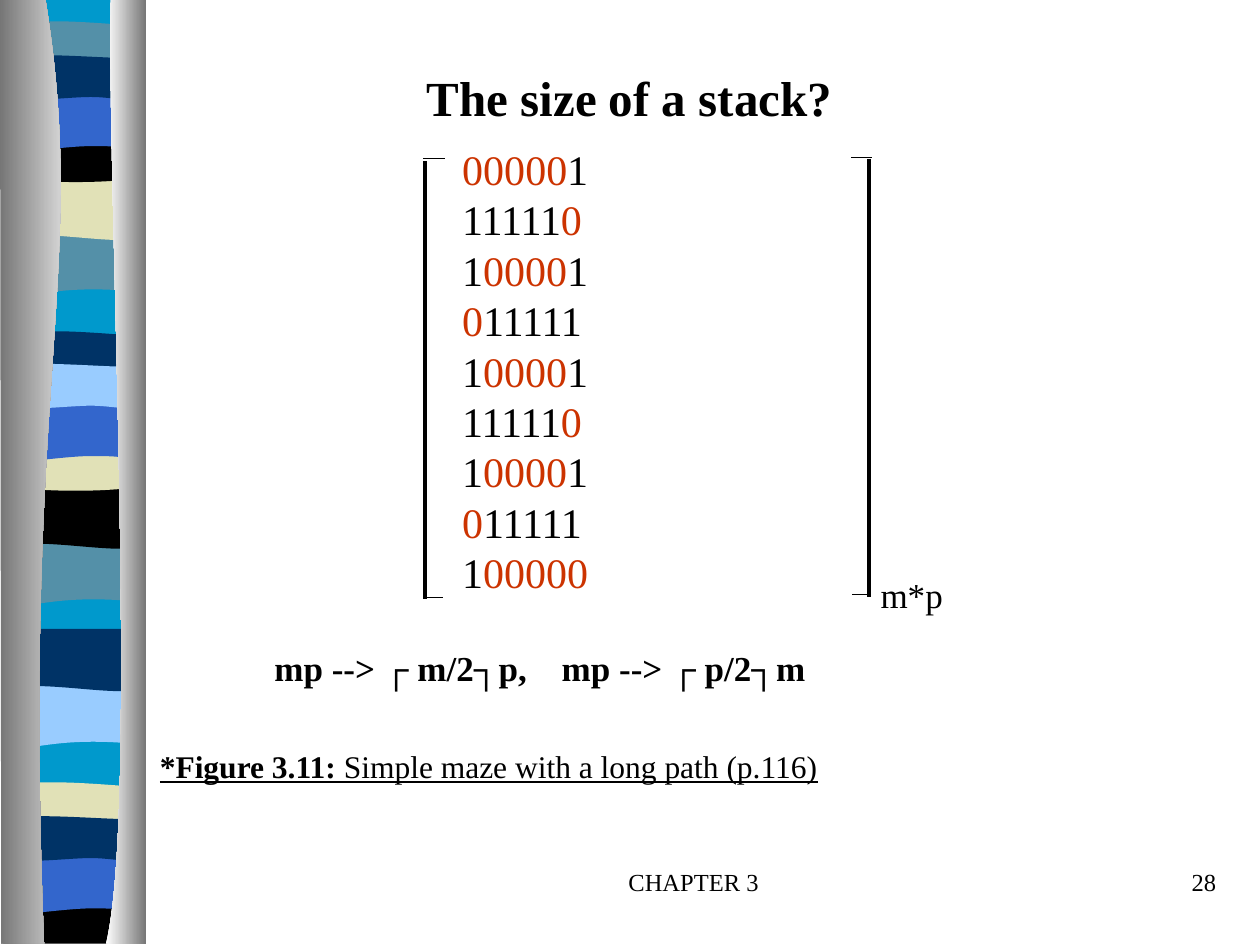
from itertools import groupby

from lxml import etree
from pptx import Presentation
from pptx.dml.color import RGBColor
from pptx.enum.shapes import MSO_CONNECTOR
from pptx.enum.text import PP_ALIGN
from pptx.oxml.ns import qn
from pptx.util import Pt

LEFT, CENTER, RIGHT = PP_ALIGN.LEFT, PP_ALIGN.CENTER, PP_ALIGN.RIGHT
STRAIGHT = MSO_CONNECTOR.STRAIGHT
PX = 9144  # one hundredth of an inch

THEME = {
    "font": "Times New Roman",
    "ink": "000000", "zero": "CC3300",
    "cyan": "0099CC", "slate": "5490A8", "sand": "E1E1B7", "navy": "003366",
    "blue": "3366CC", "sky": "99CCFF", "black": "000000",
    "light": "FFFFFF", "dark": "767676",
    "title": 28, "digits": 24, "formula": 20, "caption": 18, "footer": 14,
    "digit_pitch": 28.8,
}


def add_outline(path, top=0):
    """Draw a closed outline; a step holds one point, or three for a curve."""
    points = [(step[i] * PX, (step[i + 1] + top) * PX)
              for step in path for i in range(0, len(step), 2)]
    builder = page.shapes.build_freeform(*points[0], scale=1.0)
    builder.add_line_segments(points[1:], close=True)
    outline = builder.convert_to_shape()
    # Join the three segments of each curve step into one Bezier segment
    segments = iter(list(outline._element.iter(qn("a:lnTo"))))
    for step in path[1:]:
        first = next(segments)
        if len(step) == 6:
            curve = etree.Element(qn("a:cubicBezTo"))
            first.addprevious(curve)
            for segment in (first, next(segments), next(segments)):
                curve.append(segment[0])
                segment.getparent().remove(segment)
    outline.shadow.inherit = False
    outline.line.fill.background()
    return outline


def add_text(place, lines, size, align=LEFT):
    """Add a text box; each line is a list of (text, colour, bold, underline)."""
    box = page.shapes.add_textbox(*(value * PX for value in place))
    frame = box.text_frame
    frame.word_wrap = True
    for index, line in enumerate(lines):
        para = frame.add_paragraph() if index else frame.paragraphs[0]
        para.alignment = align
        for text, colour, bold, underline in line:
            span = para.add_run()
            span.text = text
            span.font.name = THEME["font"]
            span.font.size = Pt(THEME[size])
            span.font.bold = bold
            span.font.underline = underline
            span.font.color.rgb = RGBColor.from_string(THEME[colour])
    return box


deck = Presentation()
deck.slide_width, deck.slide_height = 1000 * PX, 750 * PX
page = deck.slides.add_slide(deck.slide_layouts[6])

# Striped ribbon: band outlines, relative to the top of each band
BANDS = {
    "swell": [(114, 0), (114, 47), (39, 39, 24, 55, 6, 47), (6, 0)],
    "dip": [(114, 0), (114, 47), (96, 55, 39, 41, 6, 47), (6, 0)],
    "thin": [(114, 5), (114, 29), (96, 33, 24, 33, 6, 29), (6, 5),
             (12, 0, 29, 1, 47, 1), (65, 1, 100, 4, 114, 5)],
    "bowl": [(114, 0), (114, 32), (96, 38, 24, 38, 6, 32), (6, 0),
             (72, 5, 91, 0, 114, 0)],
    "arch": [(114, 0), (114, 47), (97, 42, 90, 42, 72, 42),
             (54, 42, 22, 47, 6, 47), (6, 0)],
    "ripple": [(114, 5), (114, 36), (107, 41, 90, 36, 72, 36),
               (54, 36, 17, 41, 6, 36), (6, 5), (21, 0, 79, 5, 97, 5),
               (115, 5, 110, 5, 114, 5)],
    "end": [(114, 0), (114, 37), (6, 37), (6, 0), (72, 5, 91, 0, 114, 0)],
    "base": [(114, 0), (114, 747), (6, 747), (6, 0)],
}
STRIPES = [
    ("base", 0, "cyan"),
    ("swell", 185, "slate"), ("dip", 141, "sand"), ("thin", 16, "slate"),
    ("bowl", 108, "black"), ("arch", 74, "blue"), ("ripple", 41, "navy"),
    ("swell", 431, "slate"), ("dip", 386, "black"), ("thin", 262, "navy"),
    ("bowl", 353, "sand"), ("arch", 320, "blue"), ("ripple", 286, "sky"),
    ("swell", 544, "sky"), ("dip", 499, "navy"), ("thin", 620, "sand"),
    ("end", 712, "black"), ("arch", 679, "blue"), ("ripple", 645, "navy"),
]
for band, top, colour in STRIPES:
    stripe = add_outline(BANDS[band], top)
    stripe.fill.solid()
    stripe.fill.fore_color.rgb = RGBColor.from_string(THEME[colour])

# Shaded covers on both sides of the ribbon
COVERS = [
    ([(36, -1), (71, 216, 17, 296, 35, 749), (1, 749), (0, -1)], "dark", "light"),
    ([(88, -1), (84, 125, 111, 646, 84, 749), (116, 749), (116, 0)], "light", "dark"),
]
for path, *shades in COVERS:
    cover = add_outline(path)
    cover.fill.gradient()
    cover.fill.gradient_angle = 0
    for stop, shade, position in zip(cover.fill.gradient_stops, shades, (0, 1)):
        stop.color.rgb = RGBColor.from_string(THEME[shade])
        stop.position = position

# Footer
add_text((392, 683, 317, 50), [[("CHAPTER 3", "ink", False, False)]], "footer", CENTER)
add_text((767, 683, 208, 50), [[("28", "ink", False, False)]], "footer", RIGHT)

# Maze matrix, with its zeros picked out
ROWS = ["000001", "111110", "100001", "011111", "100001",
        "111110", "100001", "011111", "100000"]
maze = add_text(
    (357, 109, 318, 370),
    [[("".join(group), "zero" if digit == "0" else "ink", False, False)
      for digit, group in groupby(row)] for row in ROWS],
    "digits")
for para in maze.text_frame.paragraphs:
    para.line_spacing = Pt(THEME["digit_pitch"])

# Matrix brackets
BRACKETS = [
    (337, 128, 337, 475, 2.25), (336, 126, 353, 126, 0.75), (337, 474, 352, 474, 0.75),
    (690, 126, 690, 474, 2.25), (692, 125, 675, 125, 0.75), (690, 472, 676, 472, 0.75),
]
for *ends, weight in BRACKETS:
    stroke = page.shapes.add_connector(STRAIGHT, *(value * PX for value in ends))
    stroke.line.color.rgb = RGBColor.from_string(THEME["ink"])
    stroke.line.width = Pt(weight)
    etree.SubElement(stroke._element.spPr, qn("a:effectLst"))

# Caption, title and matrix size
add_text((117, 588, 555, 40),
         [[("*Figure 3.11: ", "ink", True, True),
           ("Simple maze with a long path (p.116)", "ink", False, True)]], "caption")
add_text((324, 49, 351, 57), [[("The size of a stack?", "ink", True, False)]], "title", CENTER)
add_text((689, 450, 76, 44), [[("m*p", "ink", False, False)]], "formula")

# Stack bounds, the second one set on a tab stop
bounds = add_text((208, 508, 450, 44),
                  [[("mp --> ┌ m/2┐p,\tmp --> ┌ p/2┐m", "ink", True, False)]],
                  "formula")
properties = bounds.text_frame.paragraphs[0]._p.get_or_add_pPr()
tabs = etree.SubElement(properties, qn("a:tabLst"))
etree.SubElement(tabs, qn("a:tab"), pos=str(228 * PX), algn="l")

deck.save("out.pptx")
